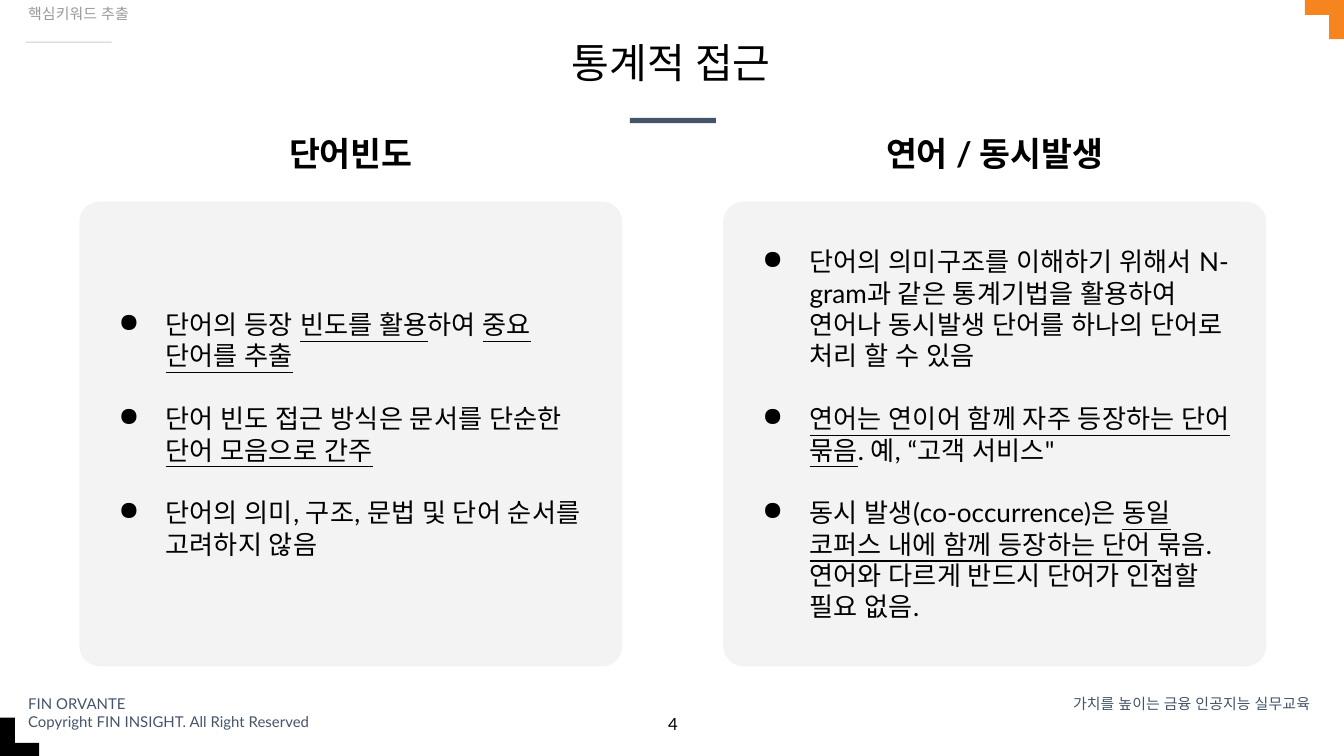
"""Build the slide on statistical approaches to keyword extraction."""
from dataclasses import dataclass
from typing import NamedTuple

from lxml.etree import SubElement
from pptx import Presentation
from pptx.dml.color import RGBColor
from pptx.enum.shapes import MSO_SHAPE
from pptx.enum.text import MSO_ANCHOR, MSO_AUTO_SIZE, PP_ALIGN
from pptx.oxml.ns import qn
from pptx.util import Pt


@dataclass(frozen=True)
class Theme:
    """Hold the colours, font and type sizes of the slide."""
    font: str = "Lato"
    text: str = "000000"
    navy: str = "44546A"
    orange: str = "F6841F"
    panel: str = "F3F3F3"
    muted: str = "999999"
    rule: str = "CCCCCC"
    title_size: float = 22
    heading_size: float = 18
    body_size: float = 14
    number_size: float = 9
    small_size: float = 8


class Box(NamedTuple):
    """Place a rectangle in points."""
    left: float
    top: float
    width: float
    height: float


class Run(NamedTuple):
    """Hold a stretch of text and its underline."""
    text: str
    underline: bool = False


@dataclass(frozen=True)
class Panel:
    """Describe a headed column of bullet points."""
    heading: str
    heading_width: float
    points: tuple[tuple[Run, ...], ...]


THEME = Theme()
PANEL_BOX = Box(42.5, 108, 291, 249)
PANEL_PITCH = 344.9
HEADING_TOP, HEADING_HEIGHT = 64, 31
BULLET_MARGIN, BULLET_HANG, BULLET_GAP = 36, 25.2, 16.8

BARS = (
    (Box(337.5, 63.2, 46, 2.8), THEME.navy),
    (Box(13.8, 22.3, 46, 0.6), THEME.rule),
    (Box(0, 398, 21, 8), THEME.text),
    (Box(0, 384.5, 8, 21), THEME.text),
    (Box(699, 0, 21, 8), THEME.orange),
    (Box(712, 0, 8, 21), THEME.orange),
)

PANELS = (
    Panel("단어빈도", 161, (
        (Run("단어의 등장 "), Run("빈도를 활용", True), Run("하여 "),
         Run("중요 단어를 추출", True)),
        (Run("단어 빈도 접근 방식은 문서를 단순한 "), Run("단어 모음으로 간주", True)),
        (Run("단어의 의미, 구조, 문법 및 단어 순서를 고려하지 않음"),),
    )),
    Panel("연어 / 동시발생", 242, (
        (Run("단어의 의미구조를 이해하기 위해서 N-gram과 같은 통계기법을 활용하여 "
             "연어나 동시발생 단어를 하나의 단어로 처리 할 수 있음"),),
        (Run("연어는 연이어 함께 자주 등장하는 단어 묶음", True),
         Run(". 예, “고객 서비스\"")),
        (Run("동시 발생(co-occurrence)은 "),
         Run("동일 코퍼스 내에 함께 등장하는 단어 ", True),
         Run("묶음. 연어와 다르게 반드시 단어가 인접할 필요 없음.")),
    )),
)


def place(shape, box: Box) -> None:
    """Move and size a shape."""
    shape.left, shape.top, shape.width, shape.height = map(Pt, box)


def add_bullet(paragraph) -> None:
    """Give a paragraph a hanging round bullet."""
    properties = paragraph._p.get_or_add_pPr()
    properties.set("marL", str(Pt(BULLET_MARGIN)))
    properties.set("indent", str(-Pt(BULLET_HANG)))
    color = SubElement(properties, qn("a:buClr"))
    SubElement(color, qn("a:srgbClr"), val=THEME.text)
    SubElement(properties, qn("a:buChar"), char="●")


def write_text(shape, paragraphs: tuple[tuple[Run, ...], ...], *, size: float,
               color: str = THEME.text, bold: bool = False, align=PP_ALIGN.LEFT,
               anchor=MSO_ANCHOR.TOP, insets: tuple[float, float] = (7.2, 7.2),
               bullets: bool = False, gap: float = 0, line_spacing: float = 1) -> None:
    """Write formatted paragraphs into a shape."""
    frame = shape.text_frame
    frame.word_wrap = True
    frame.auto_size = MSO_AUTO_SIZE.NONE
    frame.vertical_anchor = anchor
    frame.margin_left = frame.margin_right = Pt(insets[0])
    frame.margin_top = frame.margin_bottom = Pt(insets[1])
    for index, runs in enumerate(paragraphs):
        paragraph = frame.add_paragraph() if index else frame.paragraphs[0]
        if bullets:
            add_bullet(paragraph)
        paragraph.alignment = align
        paragraph.line_spacing = line_spacing
        paragraph.space_before = Pt(gap if index else 0)
        for part in runs:
            run = paragraph.add_run()
            run.text = part.text
            font = run.font
            font.name, font.size, font.bold = THEME.font, Pt(size), bold
            font.underline = part.underline
            font.color.rgb = RGBColor.from_string(color)
            SubElement(run._r.get_or_add_rPr(), qn("a:ea"), typeface=THEME.font)


def add_filled(slide, kind: MSO_SHAPE, box: Box, color: str):
    """Add a flat shape without an outline."""
    shape = slide.shapes.add_shape(kind, *map(Pt, box))
    shape.shadow.inherit = False
    shape.fill.solid()
    shape.fill.fore_color.rgb = RGBColor.from_string(color)
    shape.line.fill.background()
    return shape


def add_label(slide, box: Box, *lines: str, **text_format) -> None:
    """Add a text box with one paragraph for each line."""
    label = slide.shapes.add_textbox(*map(Pt, box))
    write_text(label, tuple((Run(line),) for line in lines), **text_format)


def add_panel(slide, panel: Panel, column: int) -> None:
    """Add a rounded panel with its heading centred above."""
    box = PANEL_BOX._replace(left=PANEL_BOX.left + column * PANEL_PITCH)
    shape = add_filled(slide, MSO_SHAPE.ROUNDED_RECTANGLE, box, THEME.panel)
    shape.adjustments[0] = 0.044
    write_text(shape, panel.points, size=THEME.body_size, anchor=MSO_ANCHOR.MIDDLE,
               bullets=True, gap=BULLET_GAP)
    heading_left = box.left + (box.width - panel.heading_width) / 2
    add_label(slide, Box(heading_left, HEADING_TOP, panel.heading_width, HEADING_HEIGHT),
              panel.heading, size=THEME.heading_size, bold=True, align=PP_ALIGN.CENTER)


def main() -> None:
    """Build and save the presentation."""
    presentation = Presentation()
    presentation.slide_width, presentation.slide_height = Pt(720), Pt(405)
    slide = presentation.slides.add_slide(presentation.slide_layouts[5])
    for box, color in BARS:
        add_filled(slide, MSO_SHAPE.RECTANGLE, box, color)
    title = slide.shapes.title
    place(title, Box(36, 21.6, 647.3, 28.8))
    write_text(title, ((Run("통계적 접근"),),), size=THEME.title_size,
               align=PP_ALIGN.CENTER, insets=(2.9, 1.4), line_spacing=0.9)
    small = {"size": THEME.small_size, "insets": (7.2, 3.6)}
    add_label(slide, Box(8, 0, 204.5, 28.8), "핵심키워드 추출",
              color=THEME.muted, line_spacing=0.9, **small)
    add_label(slide, Box(8, 368.6, 214.6, 19.4), "FIN ORVANTE",
              "Copyright FIN INSIGHT. All Right Reserved", color=THEME.navy, **small)
    add_label(slide, Box(558.7, 368.6, 150.5, 12.2), "가치를 높이는 금융 인공지능 실무교육",
              color=THEME.navy, align=PP_ALIGN.RIGHT, **small)
    add_label(slide, Box(339, 375, 43, 31), "4",
              size=THEME.number_size, align=PP_ALIGN.CENTER)
    for column, panel in enumerate(PANELS):
        add_panel(slide, panel, column)
    presentation.save("out.pptx")


if __name__ == "__main__":
    main()
